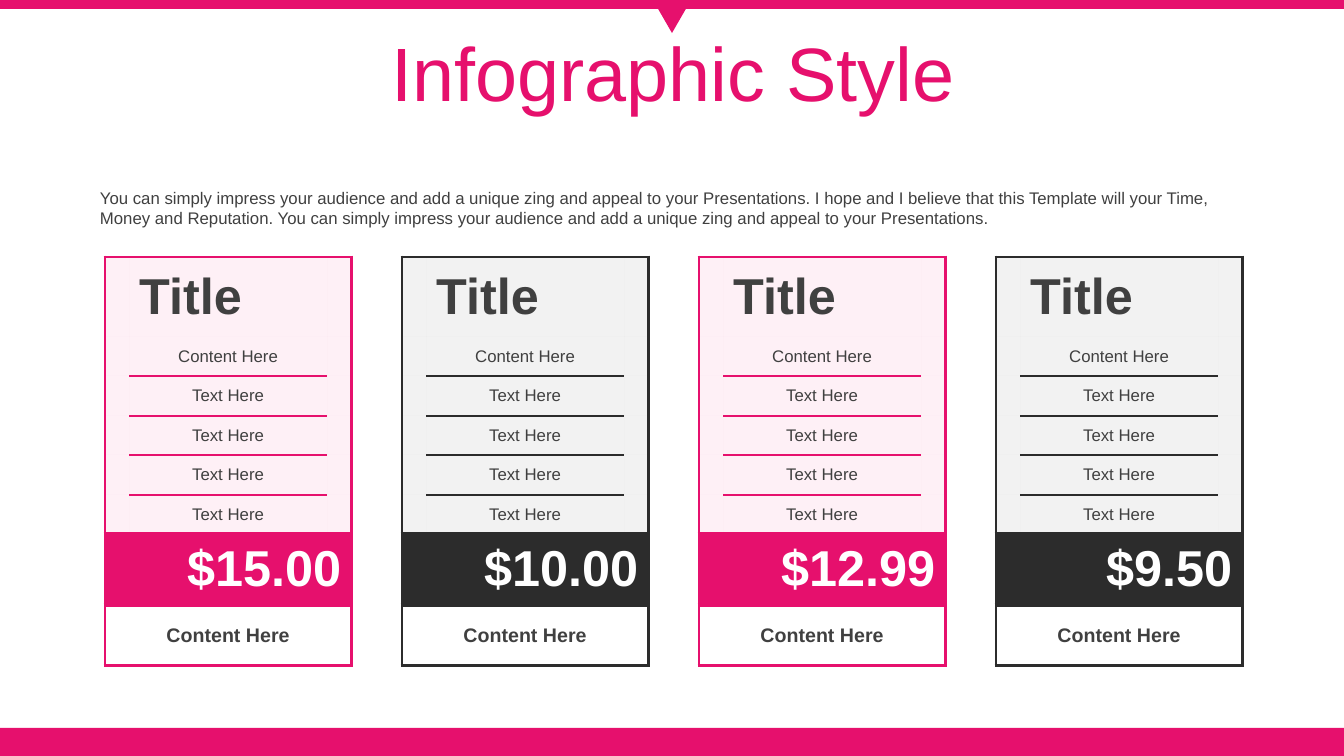
from lxml import etree
from pptx import Presentation
from pptx.dml.color import RGBColor
from pptx.enum.shapes import MSO_SHAPE
from pptx.enum.text import MSO_ANCHOR, MSO_AUTO_SIZE, PP_ALIGN
from pptx.oxml.ns import qn
from pptx.util import Pt

RECT, TRI = MSO_SHAPE.RECTANGLE, MSO_SHAPE.ISOSCELES_TRIANGLE
LEFT, MID, RIGHT = PP_ALIGN.LEFT, PP_ALIGN.CENTER, PP_ALIGN.RIGHT
CENTER = MSO_ANCHOR.MIDDLE
FIXED = MSO_AUTO_SIZE.NONE

SCALE = 914400 / 100.8
HEX = {"pink": "E6106D", "dark": "2C2C2C", "rose": "FCCEE2",
       "grey": "D5D5D5", "text": "404040", "white": "FFFFFF"}
PLAIN = "{2D5ABB26-0587-4C30-8999-92F81FD0307C}"  # no style, no grid
COLS = [23, 198, 23]
ROWS = [80, 39, 40, 39, 40, 39, 71, 61]
PRICE, FOOT = 6, 7
OUTER, INNER, THICK = 2.25, 1.5, 3


def px(*nums):
    return [round(n * SCALE) for n in nums]


def rgb(name):
    return RGBColor.from_string(HEX[name])


class Deck:
    font = "Arial"

    def __init__(self):
        self.prs = Presentation()
        self.prs.slide_width, self.prs.slide_height = px(1344, 756)
        self.slide = self.prs.slides.add_slide(self.prs.slide_layouts[5])

    def words(self, frame, text, size, color, align=LEFT, bold=False):
        para = frame.paragraphs[0]
        para.alignment = align
        run = para.add_run()
        run.text = text
        style = {"name": self.font, "size": Pt(size), "bold": bold}
        for key, val in style.items():
            setattr(run.font, key, val)
        run.font.color.rgb = rgb(color)
        return para

    def shape(self, kind, box, color, turn=0):
        item = self.slide.shapes.add_shape(kind, *px(*box))
        item.shadow.inherit = False
        item.fill.solid()
        item.fill.fore_color.rgb = rgb(color)
        item.line.fill.background()
        item.rotation = turn

    def title(self, box, text):
        item = self.slide.shapes.title
        item.left, item.top, item.width, item.height = px(*box)
        frame = item.text_frame
        frame.auto_size, frame.vertical_anchor = FIXED, CENTER
        para = self.words(frame, text, 54, "pink", MID)
        para.line_spacing = 0.9

    def text(self, box, text):
        frame = self.slide.shapes.add_textbox(*px(*box)).text_frame
        frame.word_wrap = True
        self.words(frame, text, 12, "text")

    def edge(self, cell, side, width, color):
        prop = cell._tc.get_or_add_tcPr()
        line = etree.SubElement(prop, qn("a:ln" + side), w=str(Pt(width)))
        fill = etree.SubElement(line, qn("a:solidFill"))
        etree.SubElement(fill, qn("a:srgbClr"), val=HEX[color])

    def paint(self, cell, color, alpha=None):
        cell.fill.solid()
        cell.fill.fore_color.rgb = rgb(color)
        if alpha:
            tone = cell._tc.tcPr.find(qn("a:solidFill") + "/" + qn("a:srgbClr"))
            etree.SubElement(tone, qn("a:alpha"), val=str(alpha * 1000))

    def card(self, left, top, main, tint, price):
        box = px(left, top, sum(COLS), sum(ROWS))
        frame = self.slide.shapes.add_table(len(ROWS), len(COLS), *box)
        grid = frame.table
        frame._element.find(".//" + qn("a:tableStyleId")).text = PLAIN
        grid.first_row = grid.horz_banding = False
        for parts, sizes, key in ((grid.columns, COLS, "width"),
                                  (grid.rows, ROWS, "height")):
            for part, size in zip(parts, px(*sizes)):
                setattr(part, key, size)
        for row in (PRICE, FOOT):
            grid.cell(row, 0).merge(grid.cell(row, 2))

        # Borders and fills
        fills = {PRICE: (main,), FOOT: ("white",)}
        for row in range(len(ROWS)):
            for col in range(len(COLS)):
                cell = grid.cell(row, col)
                cell.margin_top = cell.margin_bottom = 0
                cell.vertical_anchor = CENTER
                for side, width in self.sides(row, col).items():
                    self.edge(cell, side, width, main)
                self.paint(cell, *fills.get(row, (tint, 30)))

        # Words
        self.words(grid.cell(0, 1).text_frame, "Title", 36, "text", LEFT, True)
        for row in range(1, PRICE):
            label = "Content Here" if row == 1 else "Text Here"
            self.words(grid.cell(row, 1).text_frame, label, 12, "text", MID)
        self.words(grid.cell(PRICE, 0).text_frame, price, 36, "white", RIGHT, True)
        self.words(grid.cell(FOOT, 0).text_frame, "Content Here", 14, "text",
                   MID, True)

    def sides(self, row, col):
        rules = {0: OUTER, PRICE: OUTER, FOOT: THICK, FOOT + 1: OUTER}
        if col == 1:
            rules.update({n: INNER for n in range(2, PRICE)})
        found = {"L": OUTER if col == 0 else None,
                 "R": OUTER if col == 2 or row >= PRICE else None,
                 "T": rules.get(row), "B": rules.get(row + 1)}
        return {side: width for side, width in found.items() if width}


def main():
    deck = Deck()

    # Frame bars and pointer
    deck.shape(RECT, (0, 728, 1344, 28), "pink")
    deck.shape(RECT, (0, 0, 1344, 9), "pink")
    deck.shape(TRI, (653, 0, 38, 33), "pink", 180)

    # Heading and introduction
    deck.title((35, 37, 1276, 80), "Infographic Style")
    deck.text((90, 183, 1154, 50),
              "You can simply impress your audience and add a unique zing and "
              "appeal to your Presentations. I hope and I believe that this "
              "Template will your Time, Money and Reputation. You can simply "
              "impress your audience and add a unique zing and appeal to your "
              "Presentations.")

    # Price cards
    looks = [("pink", "rose"), ("dark", "grey")]
    for i, price in enumerate(["$15.00", "$10.00", "$12.99", "$9.50"]):
        deck.card(105 + 297 * i, 257, *looks[i % 2], price)

    deck.prs.save("out.pptx")


if __name__ == "__main__":
    main()
